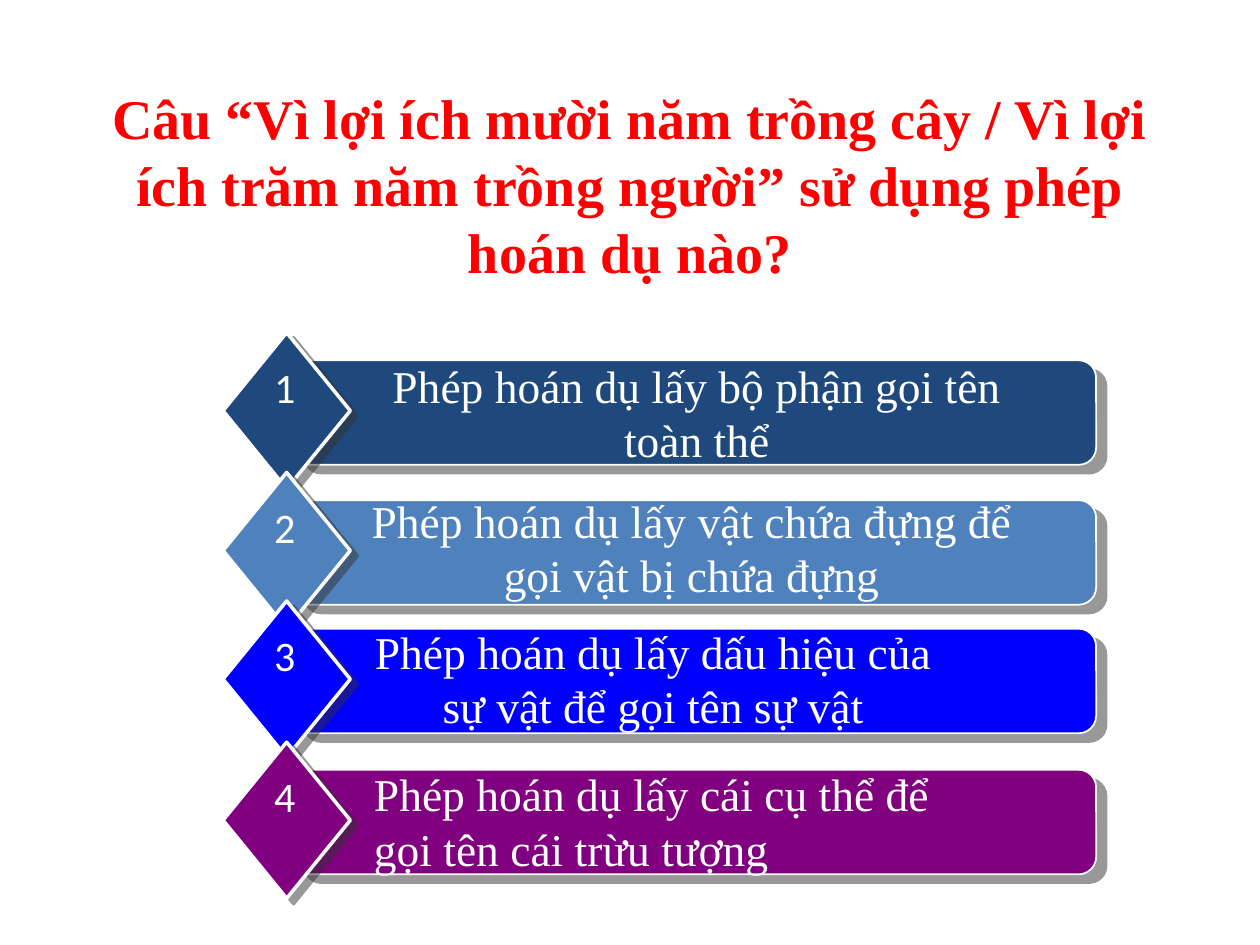
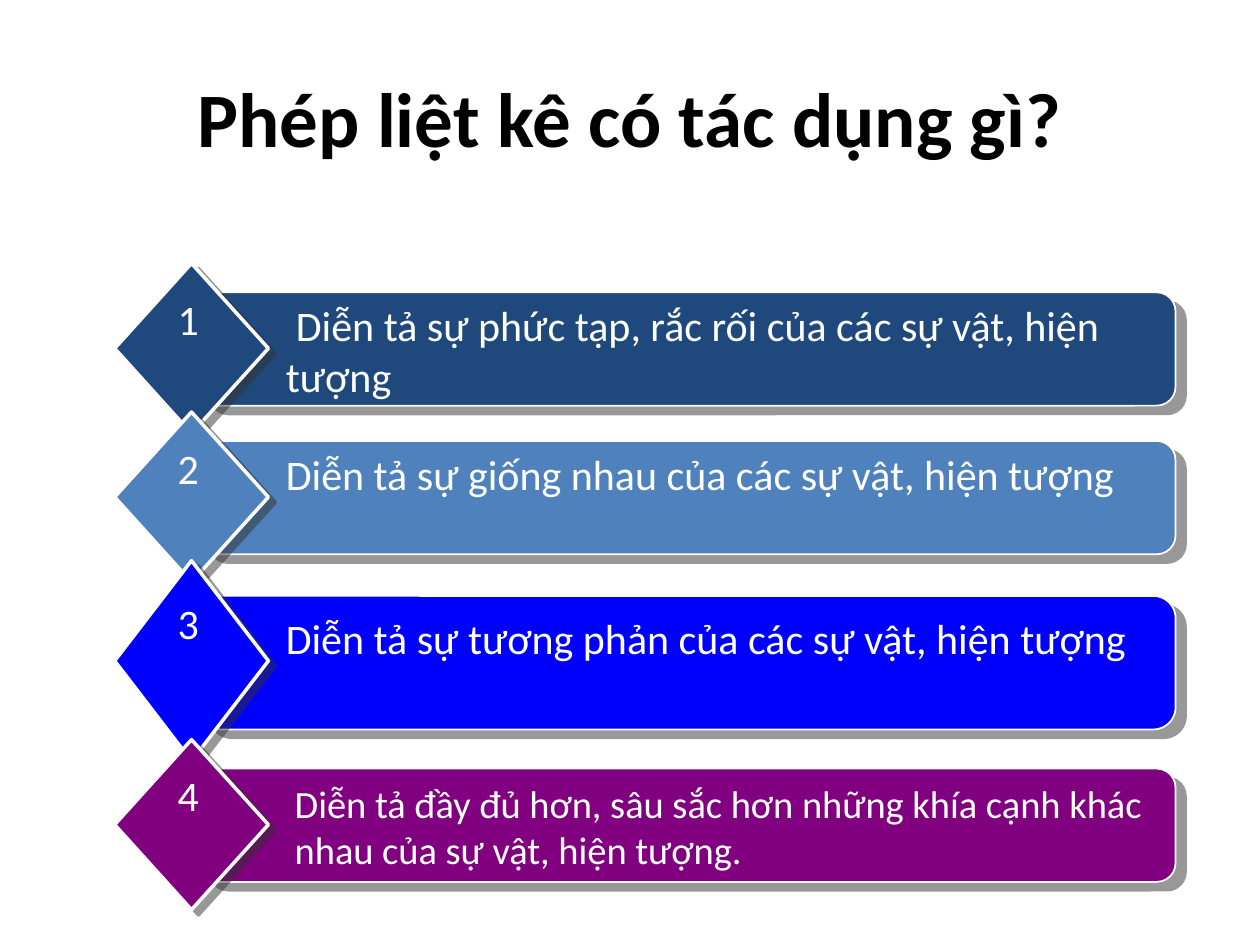
from dataclasses import dataclass

from lxml import etree
from pptx import Presentation
from pptx.dml.color import RGBColor
from pptx.enum.shapes import MSO_SHAPE
from pptx.enum.text import MSO_ANCHOR, MSO_AUTO_SIZE, PP_ALIGN
from pptx.oxml.ns import qn
from pptx.util import Emu, Pt

ROUNDED, DIAMOND = MSO_SHAPE.ROUNDED_RECTANGLE, MSO_SHAPE.DIAMOND
LEFT, CENTER = PP_ALIGN.LEFT, PP_ALIGN.CENTER
MIDDLE, TOP = MSO_ANCHOR.MIDDLE, MSO_ANCHOR.TOP
GROW = MSO_AUTO_SIZE.SHAPE_TO_FIT_TEXT

EMU_PER_PX = 9144  # 100 px to the inch
SERIF, SANS = "Times New Roman", "Calibri"
WHITE, BLACK, RED, SHADOW = "FFFFFF", "000000", "FF0000", "333333"
ANSWER_FILLS = ("1F497D", "4F81BD", "0000FF", "800080")
TITLE_ONLY = 5


@dataclass(frozen=True)
class Style:
    font: str
    size: int
    color: str = WHITE
    bold: bool = False
    align: PP_ALIGN = LEFT


@dataclass(frozen=True)
class Box:
    left: int
    top: int
    width: int
    height: int

    def emu(self) -> list[Emu]:
        return [px(v) for v in (self.left, self.top, self.width, self.height)]


@dataclass(frozen=True)
class Span:
    left: int
    width: int


@dataclass(frozen=True)
class Answer:
    text: str
    bar_top: int
    bar_height: int
    text_box: Box
    style: Style
    indent: int = 0


@dataclass(frozen=True)
class Question:
    title: str
    title_box: Box
    title_style: Style
    bar: Span
    diamond: Span
    number: Span
    answers: tuple[Answer, ...]


NUMBER = Style(SANS, 24, align=CENTER)
SERIF_CENTER = Style(SERIF, 26, align=CENTER)
SERIF_LEFT = Style(SERIF, 26)
SANS_LEFT = Style(SANS, 24)
SANS_SMALL = Style(SANS, 22)

QUESTIONS = (
    Question(
        "Câu “Vì lợi ích mười năm trồng cây / Vì lợi ích trăm năm trồng người” "
        "sử dụng phép hoán dụ nào?",
        Box(50, -3, 900, 298), Style(SERIF, 32, RED, True, CENTER),
        Span(233, 637), Span(177, 101), Span(200, 52),
        (
            Answer("Phép hoán dụ lấy bộ phận gọi tên toàn thể",
                   286, 83, Box(267, 279, 572, 98), SERIF_CENTER),
            Answer("Phép hoán dụ lấy vật chứa đựng để gọi vật bị chứa đựng",
                   397, 83, Box(267, 386, 564, 98), SERIF_CENTER),
            Answer("Phép hoán dụ lấy dấu hiệu của sự vật để gọi tên sự vật",
                   499, 83, Box(267, 490, 503, 98), SERIF_CENTER),
            Answer("Phép hoán dụ lấy cái cụ thể để gọi tên cái trừu tượng",
                   611, 83, Box(287, 603, 503, 98), SERIF_LEFT),
        ),
    ),
    Question(
        "Phép liệt kê có tác dụng gì?",
        Box(50, 30, 900, 125), Style(SANS, 44, BLACK, True, CENTER),
        Span(158, 775), Span(91, 122), Span(118, 63),
        (
            Answer("Diễn tả sự phức tạp, rắc rối của các sự vật, hiện tượng",
                   232, 90, Box(217, 233, 709, 91), SANS_LEFT, indent=8),
            Answer("Diễn tả sự giống nhau của các sự vật, hiện tượng",
                   350, 90, Box(217, 351, 709, 91), SANS_LEFT),
            Answer("Diễn tả sự tương phản của các sự vật, hiện tượng",
                   473, 106, Box(217, 481, 717, 91), SANS_LEFT),
            Answer("Diễn tả đầy đủ hơn, sâu sắc hơn những khía cạnh khác "
                   "nhau của sự vật, hiện tượng.",
                   610, 90, Box(224, 614, 701, 84), SANS_SMALL),
        ),
    ),
)


def px(length: int) -> Emu:
    return Emu(length * EMU_PER_PX)


def rgb(color: str) -> RGBColor:
    return RGBColor.from_string(color)


def write(frame, text: str, style: Style, indent: int = 0) -> None:
    para = frame.paragraphs[0]
    para.alignment = style.align
    if indent:
        para._p.get_or_add_pPr().set("indent", str(px(indent)))
    span = para.add_run()
    span.text = text
    span.font.name = style.font
    span.font.size = Pt(style.size)
    span.font.bold = style.bold
    span.font.color.rgb = rgb(style.color)


def add_text(shapes, box: Box, text: str, style: Style,
             wrap: bool = True, indent: int = 0) -> None:
    frame = shapes.add_textbox(*box.emu()).text_frame
    frame.word_wrap = wrap
    frame.auto_size = GROW
    frame.vertical_anchor = TOP
    write(frame, text, style, indent)


def cast_shadow(shape, distance: float, angle: int) -> None:
    shape.shadow.inherit = False
    effects = shape._element.spPr.find(qn("a:effectLst"))
    shadow = etree.SubElement(
        effects, qn("a:outerShdw"), blurRad="0", dist=str(Pt(distance)),
        dir=str(angle * 60000), algn="ctr", rotWithShape="0")
    color = etree.SubElement(shadow, qn("a:srgbClr"), val=SHADOW)
    etree.SubElement(color, qn("a:alpha"), val="50000")


def add_panel(shapes, kind: MSO_SHAPE, box: Box, fill: str,
              line_width: int, distance: float, angle: int) -> None:
    panel = shapes.add_shape(kind, *box.emu())
    panel.fill.solid()
    panel.fill.fore_color.rgb = rgb(fill)
    panel.line.color.rgb = rgb(WHITE)
    panel.line.width = Pt(line_width)
    cast_shadow(panel, distance, angle)


def add_answer(page, question: Question, number: int, answer: Answer, fill: str) -> None:
    shapes = page.shapes.add_group_shape().shapes
    top, height = answer.bar_top, answer.bar_height
    bar, diamond, label = question.bar, question.diamond, question.number
    # The diamond is half as tall again as its bar
    add_panel(shapes, ROUNDED, Box(bar.left, top, bar.width, height), fill, 1, 7.8, 40)
    add_panel(shapes, DIAMOND,
              Box(diamond.left, top - round(height * 0.26), diamond.width, height * 3 // 2),
              fill, 2, 5, 37)
    add_text(shapes, answer.text_box, answer.text, answer.style, indent=answer.indent)
    add_text(shapes, Box(label.left, top - 4, label.width, height),
             str(number), NUMBER, wrap=False)


def add_question(deck, question: Question) -> None:
    page = deck.slides.add_slide(deck.slide_layouts[TITLE_ONLY])
    # Title
    title = page.shapes.title
    title.left, title.top, title.width, title.height = question.title_box.emu()
    title.text_frame.vertical_anchor = MIDDLE
    write(title.text_frame, question.title, question.title_style)
    # Numbered answers
    for number, (answer, fill) in enumerate(zip(question.answers, ANSWER_FILLS), 1):
        add_answer(page, question, number, answer, fill)


def main() -> None:
    deck = Presentation()
    deck.slide_width, deck.slide_height = px(1000), px(750)
    for question in QUESTIONS:
        add_question(deck, question)
    deck.save("out.pptx")


if __name__ == "__main__":
    main()
